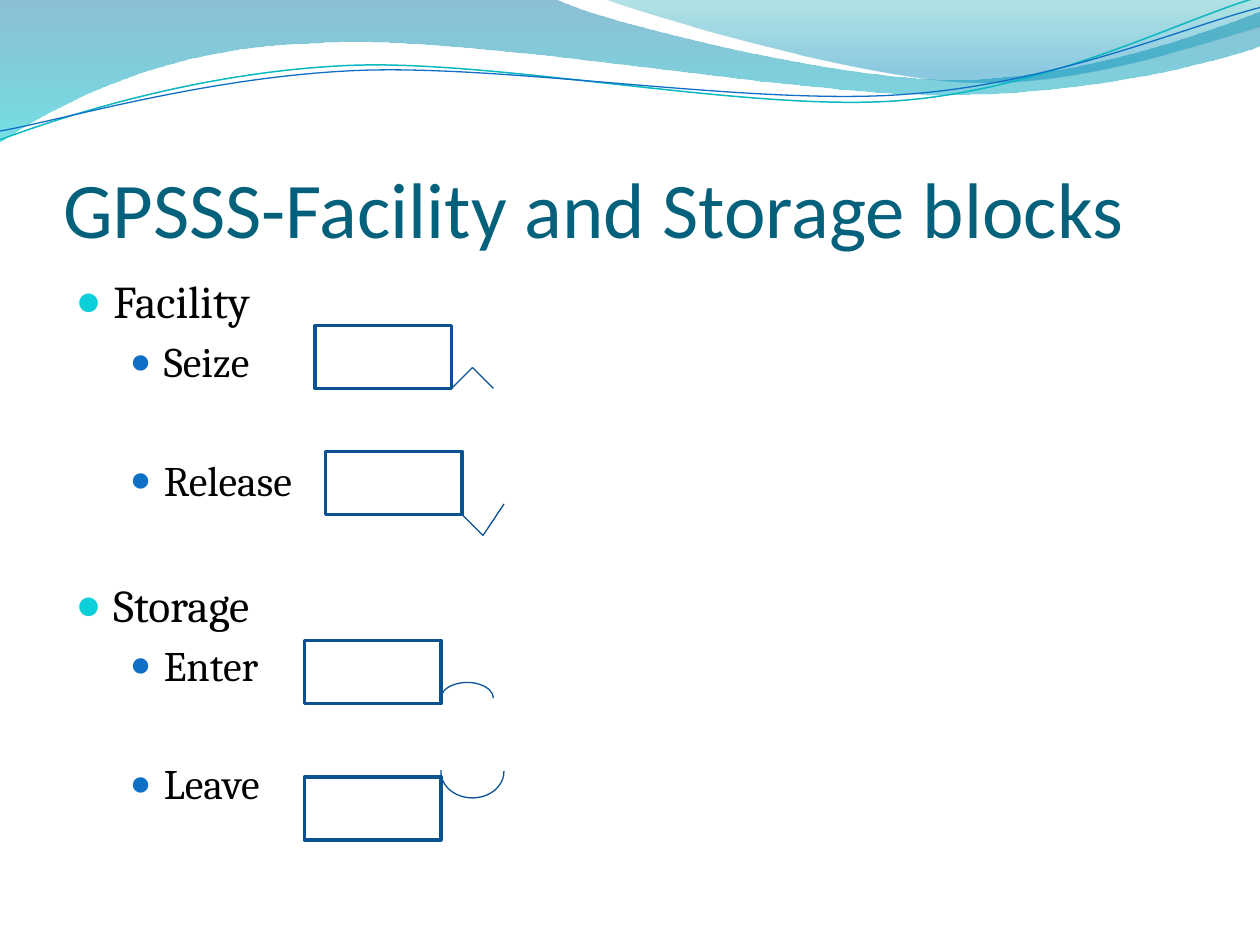
from itertools import chain

from lxml import etree
from pptx import Presentation
from pptx import util as u
from pptx.dml.color import RGBColor
from pptx.enum import shapes, text
from pptx.oxml.ns import qn

COLORS = {
    "title": "04617B", "body": "000000", "white": "FFFFFF",
    "bullet": "0BD0D9", "sub_bullet": "0F6FC6",
    "block": "0B5292", "mark": "095295",
    "teal_line": "0AB8BF", "blue_line": "0F6FC6",
    "deep_blue": "0074A1", "aqua": "00C6CF",
    "sea": "00A1A9", "sky": "008BBF",
}
CELL = u.Inches(1) / 12

BACK_WAVE = [
    (0, 0), (4.4, -0.01), (4.76, 0.17, 6.64, 0.63, 7.58, 0.63),
    (8.53, 0.63, 9.58, 0.26, 10, 0.09), (10.01, 0.36),
    (9.83, 0.44, 8.7, 0.76, 7.46, 0.75), (6.22, 0.75, 3.82, 0.28, 2.57, 0.34),
    (1.29, 0.36, 0.46, 0.83, -0.01, 1.13), (0, 0),
]
FRONT_WAVE = [
    (4.79, -0.01), (5.09, 0.11, 6.82, 0.62, 7.69, 0.65),
    (8.56, 0.69, 9.61, 0.32, 10, 0.21), (10, 0), (4.79, -0.01),
]
TEAL_WAVE = [
    (0, 1.11), (0.48, 0.93, 1.58, 0.57, 2.77, 0.52),
    (3.95, 0.47, 5.93, 0.89, 7.13, 0.8), (8.33, 0.71, 9.38, 0.15, 9.98, -0.02),
]
BLUE_WAVE = [
    (0, 1.04), (0.47, 0.96, 1.64, 0.61, 2.83, 0.56),
    (4.03, 0.51, 5.97, 0.84, 7.17, 0.75), (8.36, 0.67, 9.41, 0.21, 10, 0.06),
]


def color(name):
    return RGBColor.from_string(COLORS[name])


def cells(*values):
    return [u.Emu(round(value * CELL)) for value in values]


def style_line(shape, name, width):
    shape.line.color.rgb = color(name)
    shape.line.width = u.Pt(width)


def bend(shape, segments):
    lines = iter(list(shape._element.iter(qn("a:lnTo"))))
    for segment in segments[1:]:
        line = next(lines)
        if len(segment) == 6:
            curve = etree.Element(qn("a:cubicBezTo"))
            line.addprevious(curve)
            for part in (line, next(lines), next(lines)):
                curve.append(part[0])
                part.getparent().remove(part)


def add_wave(slide, segments, closed):
    values = [u.Inches(value) for value in chain.from_iterable(segments)]
    points = list(zip(values[::2], values[1::2]))
    builder = slide.shapes.build_freeform(*points[0], scale=1.0)
    builder.add_line_segments(points[1:], close=closed)
    shape = builder.convert_to_shape()
    bend(shape, segments)
    shape.shadow.inherit = False
    return shape


def add_header(slide):
    gradients = (
        (BACK_WAVE, (("deep_blue", 0, 45), ("aqua", 100, 55))),
        (FRONT_WAVE, (("sea", 0, 30), ("sky", 80, 45))),
    )
    for segments, stops in gradients:
        shape = add_wave(slide, segments, True)
        shape.line.fill.background()
        shape.fill.gradient()
        shape.fill.gradient_angle = 270
        elements = shape._element.spPr.iter(qn("a:gs"))
        for stop, element, (name, position, alpha) in zip(
                shape.fill.gradient_stops, elements, stops):
            stop.color.rgb = color(name)
            element.set("pos", str(position * 1000))
            etree.SubElement(element[0], qn("a:alpha")).set("val", str(alpha * 1000))
    for segments, name, width in ((TEAL_WAVE, "teal_line", 0.85), (BLUE_WAVE, "blue_line", 0.75)):
        shape = add_wave(slide, segments, False)
        shape.fill.background()
        style_line(shape, name, width)


def place(slide, shape, left, top, width, height):
    shape.left, shape.top = u.Inches(left), u.Inches(top)
    shape.width, shape.height = u.Inches(width), u.Inches(height)
    slide.shapes._spTree.append(shape._element)


def format_text(paragraph, font_name, size, name):
    paragraph.alignment = text.PP_ALIGN.LEFT
    for run in paragraph.runs:
        run.font.name = font_name
        run.font.size = u.Pt(size)
        run.font.color.rgb = color(name)


def add_title(slide, *box):
    title = slide.shapes.title
    place(slide, title, *box)
    frame = title.text_frame
    frame.text = "GPSSS-Facility and Storage blocks"
    frame.word_wrap = True
    frame.auto_size = text.MSO_AUTO_SIZE.NONE
    frame.vertical_anchor = text.MSO_ANCHOR.BOTTOM
    frame.margin_left = frame.margin_right = frame.margin_bottom = 0
    format_text(frame.paragraphs[0], "Calibri", 45, "title")


def set_bullet(paragraph, name, percent, margin, hanging):
    properties = paragraph._p.get_or_add_pPr()
    properties.set("marL", str(u.Inches(margin)))
    properties.set("indent", str(-u.Inches(hanging)))
    bullet_color = etree.SubElement(properties, qn("a:buClr"))
    etree.SubElement(bullet_color, qn("a:srgbClr")).set("val", COLORS[name])
    etree.SubElement(properties, qn("a:buSzPct")).set("val", str(percent * 1000))
    etree.SubElement(properties, qn("a:buChar")).set("char", "●")


def add_list(slide, *box):
    items = (("Facility", 0, 0), ("Seize", 1, 4.5), ("Release", 1, 38.7),
             ("Storage", 0, 41.5), ("Enter", 1, 4.5), ("Leave", 1, 38.7))
    levels = ((26, "bullet", 95, 0.3, 0.3), (24, "sub_bullet", 85, 0.7, 0.27))
    body = slide.placeholders[1]
    place(slide, body, *box)
    frame = body.text_frame
    frame.text = "\n".join(item[0] for item in items)
    frame.word_wrap = True
    frame.auto_size = text.MSO_AUTO_SIZE.NONE
    for paragraph, (_, level, space) in zip(frame.paragraphs, items):
        size, *bullet = levels[level]
        paragraph.level = level
        paragraph.space_before = u.Pt(space)
        format_text(paragraph, "Cambria", size, "body")
        set_bullet(paragraph, *bullet)


def add_block(slide, left, top):
    block = slide.shapes.add_shape(shapes.MSO_SHAPE.RECTANGLE, *cells(left, top, 13, 6))
    block.shadow.inherit = False
    block.fill.solid()
    block.fill.fore_color.rgb = color("white")
    style_line(block, "block", 2)


def add_angle_block(slide, left, top, tip, end):
    add_block(slide, left, top)
    x, y = left + 13, top + 6
    points = ((x, y), (x + 2, y + tip), (x + 4, y + end))
    for start, finish in zip(points, points[1:]):
        connector = slide.shapes.add_connector(
            shapes.MSO_CONNECTOR.STRAIGHT, *cells(*start, *finish))
        style_line(connector, "mark", 0.75)
        etree.SubElement(connector._element.spPr, qn("a:effectLst"))


def add_arc_block(slide, left, top, drop, width, height, angles):
    add_block(slide, left, top)
    arc = slide.shapes.add_shape(
        shapes.MSO_SHAPE.ARC, *cells(left + 13, top + drop, width, height))
    arc.shadow.inherit = False
    arc.fill.background()
    style_line(arc, "mark", 0.75)
    arc.adjustments[0], arc.adjustments[1] = angles


def main():
    presentation = Presentation()
    presentation.slide_width, presentation.slide_height = u.Inches(10), u.Inches(7.5)
    slide = presentation.slides.add_slide(presentation.slide_layouts[1])
    add_header(slide)
    add_title(slide, 0.5, 0.77, 9, 1.25)
    add_list(slide, 0.5, 2.12, 9, 4.8)
    add_angle_block(slide, 30, 31, -2, 0)
    add_angle_block(slide, 31, 43, 2, -1)
    add_arc_block(slide, 29, 61, 4, 5, 3, (104.04, 0))
    add_arc_block(slide, 29, 74, -3, 6, 5, (215.52, 109.65))
    presentation.save("out.pptx")


if __name__ == "__main__":
    main()
